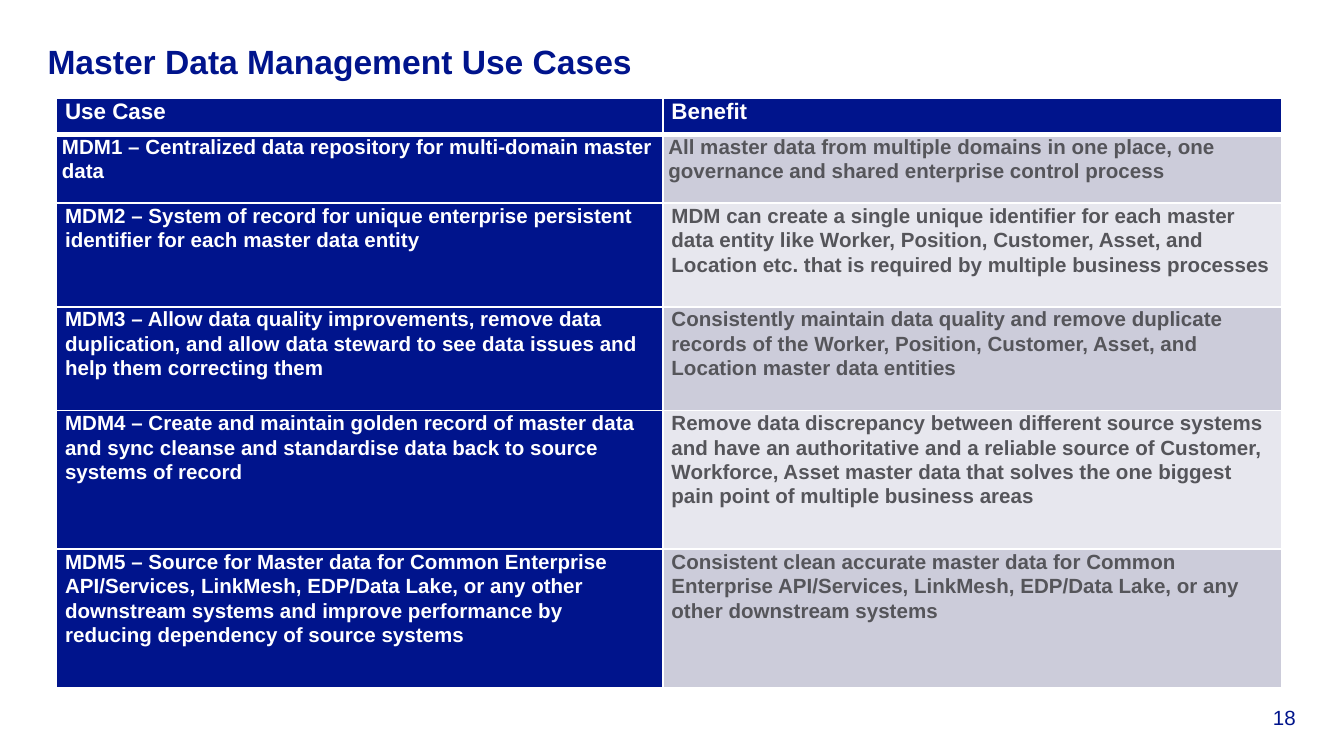
"""Builds the slide that lists master data management use cases and their benefits."""
from dataclasses import dataclass

from lxml.etree import SubElement
from pptx import Presentation
from pptx.dml.color import RGBColor
from pptx.enum.text import MSO_ANCHOR as Anchor, PP_ALIGN as Align
from pptx.oxml.ns import qn
from pptx.util import Cm, Pt

NAVY, WHITE, GREY = "00148C", "FFFFFF", "55555A"
BANDS = ("CCCCDA", "E7E7EE")
COLUMN_WIDTHS = (11.46, 11.7)


@dataclass
class UseCase:
    name: str
    benefit: str
    height: float
    margin: float = 0.16


USE_CASES = [
    UseCase("MDM1 – Centralized data repository for multi-domain master data",
            "All master data from multiple domains in one place, one governance and "
            "shared enterprise control process", 1.3, 0.1),
    UseCase("MDM2 – System of record for unique enterprise persistent identifier for "
            "each master data entity",
            "MDM can create a single unique identifier for each master data entity like "
            "Worker, Position, Customer, Asset, and Location etc. that is required by "
            "multiple business processes", 1.96),
    UseCase("MDM3 – Allow data quality improvements, remove data duplication, and allow "
            "data steward to see data issues and help them correcting them",
            "Consistently maintain data quality and remove duplicate records of the "
            "Worker, Position, Customer, Asset, and Location master data entities", 1.96),
    UseCase("MDM4 – Create and maintain golden record of master data and sync cleanse "
            "and standardise data back to source systems of record",
            "Remove data discrepancy between different source systems and have an "
            "authoritative and a reliable source of Customer, Workforce, Asset master "
            "data that solves the one biggest pain point of multiple business areas", 2.62),
    UseCase("MDM5 – Source for Master data for Common Enterprise API/Services, LinkMesh, "
            "EDP/Data Lake, or any other downstream systems and improve performance by "
            "reducing dependency of source systems",
            "Consistent clean accurate master data for Common Enterprise API/Services, "
            "LinkMesh, EDP/Data Lake, or any other downstream systems", 2.62),
]


def rgb(color: str) -> RGBColor:
    return RGBColor.from_string(color)


def add_run(p, text: str, size: float, color: str, bold: bool = True) -> None:
    r = p.add_run()
    r.text = text
    r.font.name = "Arial"
    r.font.size = Pt(size)
    r.font.bold = bold
    r.font.color.rgb = rgb(color)


def add_label(s, text: str, box: tuple, size: float, bold: bool, align, anchor) -> None:
    tf = s.shapes.add_textbox(*map(Cm, box)).text_frame
    tf.word_wrap = True
    tf.vertical_anchor = anchor
    tf.margin_left = tf.margin_right = tf.margin_top = tf.margin_bottom = 0
    p = tf.paragraphs[0]
    p.alignment = align
    add_run(p, text, size, NAVY, bold)


def set_borders(cell, **widths: float) -> None:
    tc_pr = cell._tc.get_or_add_tcPr()
    for side, width in widths.items():
        ln = SubElement(tc_pr, qn(f"a:ln{side}"), w=str(Pt(width)))
        SubElement(SubElement(ln, qn("a:solidFill")), qn("a:srgbClr"), val=WHITE)


def fill_cell(cell, text: str, size: float, color: str, fill: str, margin: float,
              top: float = 1, bottom: float = 1) -> None:
    set_borders(cell, L=1, R=1, T=top, B=bottom)
    cell.fill.solid()
    cell.fill.fore_color.rgb = rgb(fill)
    cell.margin_left = cell.margin_right = Cm(margin)
    cell.margin_top = cell.margin_bottom = 0
    p = cell.text_frame.paragraphs[0]
    p.line_spacing = 1.07
    add_run(p, text, size, color)


def add_use_case_table(s, use_cases: list[UseCase]) -> None:
    heights = [0.69] + [case.height for case in use_cases]
    table = s.shapes.add_table(len(heights), len(COLUMN_WIDTHS), Cm(1.07), Cm(1.85),
                               Cm(sum(COLUMN_WIDTHS)), Cm(sum(heights))).table
    for column, width in zip(table.columns, COLUMN_WIDTHS):
        column.width = Cm(width)
    for row, height in zip(table.rows, heights):
        row.height = Cm(height)
    for col, heading in enumerate(("Use Case", "Benefit")):
        fill_cell(table.cell(0, col), heading, 12, WHITE, NAVY, 0.16, bottom=3)
    for row, case in enumerate(use_cases, start=1):
        top = 3 if row == 1 else 1
        band = BANDS[(row - 1) % 2]
        fill_cell(table.cell(row, 0), case.name, 11, WHITE, NAVY, case.margin, top)
        fill_cell(table.cell(row, 1), case.benefit, 11, GREY, band, case.margin, top)


def main() -> None:
    prs = Presentation()
    prs.slide_width, prs.slide_height = Cm(25.4), Cm(14.29)
    s = prs.slides.add_slide(prs.slide_layouts[6])
    add_label(s, "18", (23.01, 13.31, 1.48, 0.48), 11, False, Align.RIGHT, Anchor.BOTTOM)
    add_label(s, "Master Data Management Use Cases", (0.9, 0.78, 23.6, 1.19), 18, True,
              Align.LEFT, Anchor.TOP)
    add_use_case_table(s, USE_CASES)
    prs.save("out.pptx")


if __name__ == "__main__":
    main()
